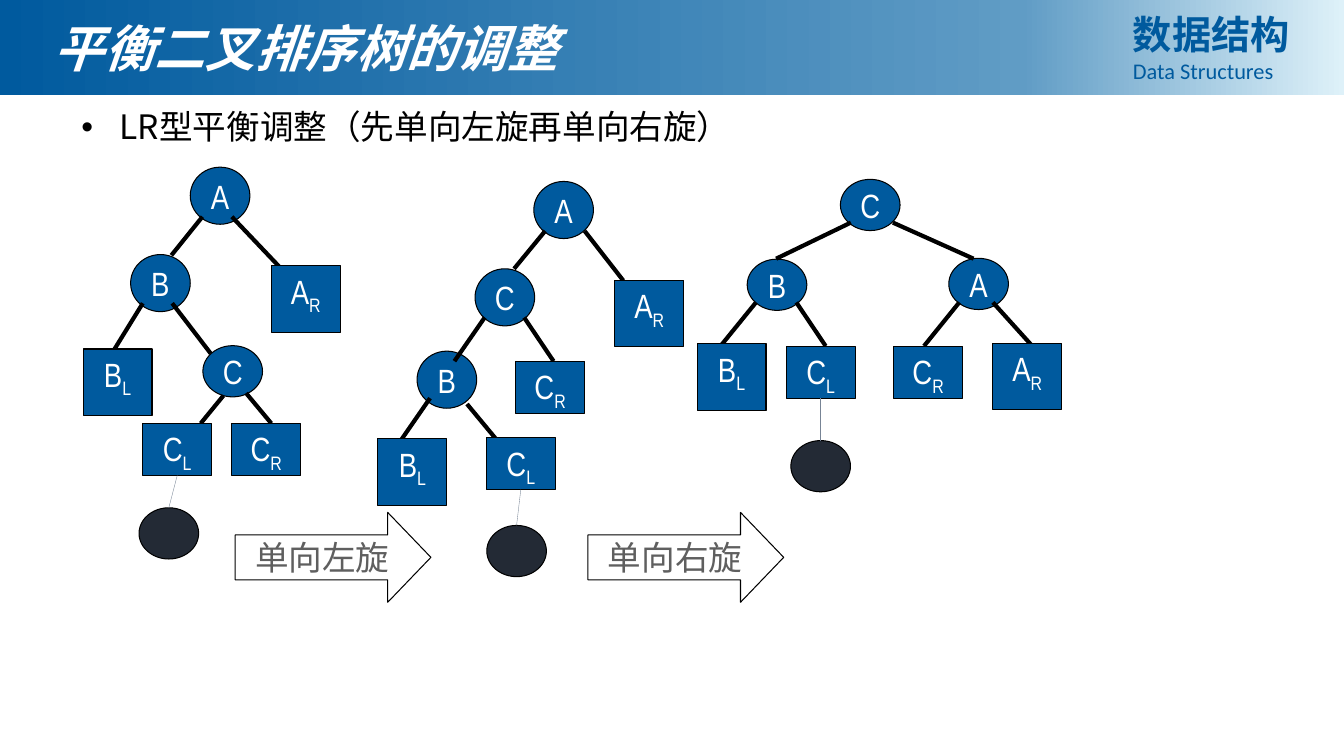
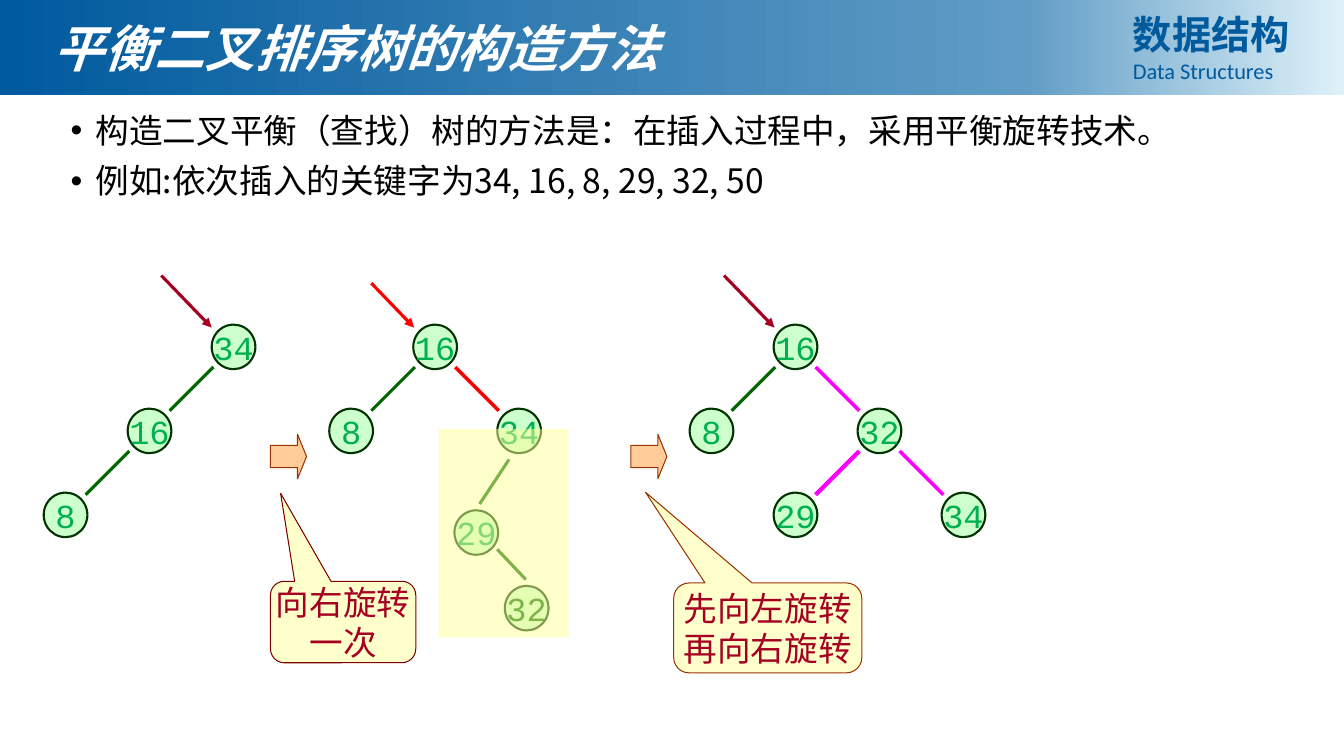
from copy import deepcopy
from dataclasses import dataclass

from lxml import etree
from pptx import Presentation
from pptx import util as u
from pptx.dml.color import RGBColor
from pptx.enum import shapes, text
from pptx.oxml.ns import qn


# Theme: colours, and type as (font, size, colour, bold, italic)
@dataclass(frozen=True)
class Theme:
    band: tuple = ((0, "005A9E"), (0.76, "609CC5"), (1, "DEF1F9"))
    blue: str = "005A9E"
    black: str = "000000"
    white: str = "FFFFFF"
    inserted: str = "232A35"
    stalk: str = "778495"
    mint: str = "CCFFCC"
    pine: str = "003300"
    green: str = "006600"
    red: str = "FF0000"
    crimson: str = "A50021"
    magenta: str = "FF00FF"
    peach: str = "FFCC99"
    brown: str = "993300"
    maroon: str = "800000"
    cream: str = "FFFFCC"
    veil: str = "FFFF99"
    cjk: str = "Noto Sans CJK SC"
    title: tuple = ("Times New Roman", 36, "FFFFFF", True, True)
    course: tuple = ("Noto Sans CJK SC", 28, "005A9E", True, False)
    course_en: tuple = ("Calibri", 16, "005A9E", False, False)
    body: tuple = ("Noto Sans CJK SC", 24, "000000", False, False)
    step: tuple = ("Noto Sans CJK SC", 24, "5F5F5F", False, False)
    node: tuple = ("Arial Narrow", 24, "FFFFFF", False, False)
    key: tuple = ("Courier New", 24, "00B050", False, False)
    last_key: tuple = ("Courier New", 24, "006600", False, False)
    note: tuple = ("Noto Sans CJK SC", 24, "A50021", False, False)


T = Theme()
SHAPE = shapes.MSO_SHAPE
STRAIGHT = shapes.MSO_CONNECTOR.STRAIGHT

# The slide is a grid of 160 columns by 90 rows of square cells
prs = Presentation()
prs.slide_width, prs.slide_height = u.Inches(40 / 3), u.Inches(7.5)
CELL = prs.slide_width // 160


def write(paragraph, words, look):
    """Write words in one look; the part after "_" is a subscript."""
    base, _, index = words.partition("_")
    paragraph.add_run().text = base
    if index:
        subscript = paragraph.add_run()
        subscript.text = index
        subscript._r.get_or_add_rPr().set("baseline", "-25000")
    font = paragraph.font
    font.name, size, colour, font.bold, font.italic = look
    font.size = u.Pt(size)
    font.color.rgb = RGBColor.from_string(colour)
    etree.SubElement(paragraph._p.pPr.find(qn("a:defRPr")), qn("a:ea"), typeface=T.cjk)


def draw(slide, kind, box, fill, line, width=0.75, words="", look=T.node, adjust=()):
    """Draw a preset shape on the grid, with one centred paragraph per line."""
    shape = slide.shapes.add_shape(kind, *[round(v * CELL) for v in box])
    shape.shadow.inherit = False
    for i, value in enumerate(adjust):
        shape.adjustments[i] = value
    shape.fill.solid()
    shape.fill.fore_color.rgb = RGBColor.from_string(fill)
    shape.line.color.rgb = RGBColor.from_string(line)
    shape.line.width = u.Pt(width)
    frame = shape.text_frame
    frame.word_wrap = False
    frame.vertical_anchor = text.MSO_ANCHOR.TOP if "_" in words else text.MSO_ANCHOR.MIDDLE
    for i, part in enumerate(words.split("\n") if words else []):
        paragraph = frame.add_paragraph() if i else frame.paragraphs[0]
        paragraph.alignment = text.PP_ALIGN.CENTER
        write(paragraph, part, look)
    return shape


# Titles and lists: title, body box, bullet indent, space before, items
layout = prs.slide_layouts[1]
pages = [
    ("平衡二叉排序树的调整", (8.5, 12.6, 108, 64), 0.38, 5,
     ["LR型平衡调整（先单向左旋再单向右旋）"]),
    ("平衡二叉排序树的构造方法", (7.2, 13, 144.4, 64), 0.25, 10,
     ["构造二叉平衡（查找）树的方法是：在插入过程中，采用平衡旋转技术。",
      "例如:依次插入的关键字为34, 16, 8, 29, 32, 50"]),
]
for heading, body_box, indent, gap, items in pages:
    slide = prs.slides.add_slide(layout)
    title, body = slide.placeholders
    for holder, box in ((title, (5.2, 1.4, 80.4, 8.5)), (body, body_box)):
        holder.left, holder.top, holder.width, holder.height = [round(v * CELL) for v in box]
        holder.text_frame.word_wrap = True
        holder.text_frame.auto_size = text.MSO_AUTO_SIZE.NONE
    title.text_frame.vertical_anchor = text.MSO_ANCHOR.MIDDLE
    title_line = title.text_frame.paragraphs[0]
    title_line.alignment = text.PP_ALIGN.LEFT
    write(title_line, heading, T.title)
    for i, item in enumerate(items):
        bullet = body.text_frame.add_paragraph() if i else body.text_frame.paragraphs[0]
        bullet.line_spacing = 0.9
        bullet.space_before = u.Pt(gap if i else 0)
        props = bullet._p.get_or_add_pPr()
        props.set("marL", str(u.Inches(indent)))
        props.set("indent", str(-u.Inches(indent)))
        etree.SubElement(props, qn("a:buFont"), typeface="Arial")
        etree.SubElement(props, qn("a:buChar"), char="•")
        write(bullet, item, T.body)
adjusting, building = prs.slides

# Shared band and course name, moved to the layout behind the placeholders
band = draw(adjusting, SHAPE.RECTANGLE, (0, 0, 160, 11.3), T.blue, T.blue)
band.line.fill.background()
band.fill.gradient()
band.fill.gradient_angle = 0
stop_list = band._element.spPr.find(qn("a:gradFill")).find(qn("a:gsLst"))
stop_list.append(deepcopy(stop_list[-1]))
for stop, (position, colour) in zip(band.fill.gradient_stops, T.band):
    stop.position = position
    stop.color.rgb = RGBColor.from_string(colour)
course = adjusting.shapes.add_textbox(*[round(v * CELL) for v in (133.7, 0.6, 22.9, 10.1)])
course.text_frame.word_wrap = True
write(course.text_frame.paragraphs[0], "数据结构", T.course)
write(course.text_frame.add_paragraph(), "Data Structures", T.course_en)
for i, part in enumerate((band, course)):
    layout.shapes._spTree.insert(2 + i, part._element)

# Slide 1: three trees; nodes as (label, centre column, centre row, size)
ROUND, FLAT = (7.1, 6.8), (7.1, 6.1)
TALL, SHORT = (8.2, 7.9), (8.2, 6.2)
trees = [
    {"inner": [("A", 26.2, 23.3, ROUND), ("B", 19.1, 33.7, ROUND), ("C", 27.7, 44.2, FLAT)],
     "edges": [(24.1, 25.8, 20.4, 30.4), (27.6, 25.8, 33.2, 31.7), (17, 36.1, 13.3, 42.1),
               (20.5, 36.1, 25.1, 42.1), (26.6, 47.1, 23.9, 50.4), (29.3, 46.8, 32.3, 50.4)],
     "subtrees": [("A_R", 36.4, 35.6, TALL), ("B_L", 14, 45.5, TALL),
                  ("C_R", 31.7, 53.5, SHORT), ("C_L", 21.1, 53.5, SHORT)],
     "inserted": (20.1, 63.5)},
    {"inner": [("A", 67.1, 25, ROUND), ("C", 60.1, 35.4, ROUND), ("B", 53.2, 45.2, ROUND)],
     "edges": [(64.9, 27.5, 61.2, 32), (69.6, 27.5, 74.2, 33.4), (57.7, 37.8, 54.1, 43),
               (62.4, 37.8, 65.9, 43), (51.2, 47.4, 47.6, 52.6), (55.6, 48.1, 59, 52.2)],
     "subtrees": [("A_R", 77.3, 37.3, TALL), ("B_L", 49.1, 56.2, TALL),
                  ("C_R", 65.5, 46.1, SHORT), ("C_L", 62, 55.2, SHORT)],
     "inserted": (61.5, 65.6)},
    {"inner": [("C", 103.6, 24.4, FLAT), ("B", 92.5, 33.9, FLAT), ("A", 116.5, 33.8, FLAT)],
     "edges": [(101.3, 26.5, 92.4, 30.8), (106.3, 26.5, 115.9, 30.8), (90, 36, 85.7, 41.3),
               (94.8, 36, 98.3, 41.2), (114.2, 36, 110, 41.2), (118.2, 36, 122.9, 41.2)],
     "subtrees": [("A_R", 122.3, 44.8, TALL), ("B_L", 87.1, 44.9, TALL),
                  ("C_R", 110.5, 44.3, SHORT), ("C_L", 97.7, 44.3, SHORT)],
     "inserted": (97.7, 55.5)},
]
for tree in trees:
    for label, x, y, (w, h) in tree["inner"]:
        draw(adjusting, SHAPE.OVAL, (x - w / 2, y - h / 2, w, h), T.blue, T.black, words=label)
    for ends in tree["edges"]:
        edge = adjusting.shapes.add_connector(STRAIGHT, *[round(v * CELL) for v in ends])
        edge.line.color.rgb = RGBColor.from_string(T.black)
        edge.line.width = u.Pt(3)
    for label, x, y, (w, h) in tree["subtrees"]:
        subtree = draw(adjusting, SHAPE.RECTANGLE, (x - w / 2, y - h / 2, w, h),
                       T.blue, T.black, words=label)
    # The new node hangs below the last subtree, C_L
    x, y = tree["inserted"]
    w, h = FLAT
    inserted = draw(adjusting, SHAPE.OVAL, (x - w / 2, y - h / 2, w, h), T.inserted, T.black)
    stalk = adjusting.shapes.add_connector(STRAIGHT, 0, 0, 0, 0)
    stalk.begin_connect(subtree, 2)
    stalk.end_connect(inserted, 0)
    stalk.line.color.rgb = RGBColor.from_string(T.stalk)
    stalk.line.width = u.Pt(0.25)

# Slide 1: rotation steps
for left, step in ((28, "单向左旋"), (70, "单向右旋")):
    draw(adjusting, SHAPE.RIGHT_ARROW, (left, 61, 23.3, 10.7), T.white, T.black,
         words=step, look=T.step, adjust=(0.5, 0.48))

# Slide 2: trees on a pitch of 10 cells; keys as (key, column, row) from the root,
# edges as (parent, child, colour, width)
PITCH, ROOT_ROW = 10, 41.3
KEY_W, KEY_H = 5.2, 5.3
key_trees = [
    (27.8, [("34", 0, 0), ("16", -1, 1), ("8", -2, 2)],
     [(0, 1, T.green, 2.25), (1, 2, T.green, 2.25)]),
    (51.8, [("16", 0, 0), ("8", -1, 1), ("34", 1, 1), ("29", 0.49, 2.21), ("32", 1.09, 3.11)],
     [(0, 1, T.green, 2.25), (0, 2, T.red, 2.5)]),
    (94.7, [("16", 0, 0), ("8", -1, 1), ("32", 1, 1), ("29", 0, 2), ("34", 2, 2)],
     [(0, 1, T.green, 2.25), (0, 2, T.magenta, 2.5), (2, 3, T.magenta, 3),
      (2, 4, T.magenta, 2.5)]),
]
# Lines off the pitch: two lower edges, then the pointers to the roots
key_lines = [
    ((60.6, 54.7, 57.1, 60), T.green, 2.25, False),
    ((59.2, 65.4, 62.6, 69), T.green, 2.25, False),
    ((19.2, 32.8, 25.2, 39), T.crimson, 2.25, True),
    ((44.2, 33.7, 49.3, 39), T.red, 2.25, True),
    ((86.2, 32.8, 92.2, 39), T.crimson, 2.25, True),
]
for root, keys, links in key_trees:
    centres = [(root + c * PITCH, ROOT_ROW + r * PITCH) for _, c, r in keys]
    for (key, _, r), (x, y) in zip(keys, centres):
        draw(building, SHAPE.OVAL, (x - KEY_W / 2, y - KEY_H / 2, KEY_W, KEY_H),
             T.mint, T.pine, 1.5, key, T.last_key if r > 3 else T.key)
    for parent, child, colour, width in links:
        (x1, y1), (x2, y2) = centres[parent], centres[child]
        ends = [a + (b - a) * share for share in (0.24, 0.76) for a, b in ((x1, x2), (y1, y2))]
        key_lines.append((ends, colour, width, False))
for ends, colour, width, pointer in key_lines:
    link = building.shapes.add_connector(STRAIGHT, *[round(v * CELL) for v in ends])
    link.line.color.rgb = RGBColor.from_string(colour)
    link.line.width = u.Pt(width)
    if pointer:
        etree.SubElement(link._element.spPr.find(qn("a:ln")), qn("a:tailEnd"), type="triangle")

# Slide 2: veil over the unbalanced part, step arrows and notes
veil = draw(building, SHAPE.RECTANGLE, (52.2, 51.1, 15.5, 24.8), T.veil, T.cream)
veil.line.fill.background()
veil_colour = veil._element.spPr.find(qn("a:solidFill")).find(qn("a:srgbClr"))
etree.SubElement(veil_colour, qn("a:alpha"), val="50000")
for left in (32.2, 75.1):
    draw(building, SHAPE.RIGHT_ARROW, (left, 51.7, 4.3, 5.3), T.peach, T.brown,
         adjust=(0.5, 0.25))
for box, outline, note, tip in (
    ((32.2, 69.2, 17.3, 9.7), T.maroon, "向右旋转\n一次", (-0.43, -1.58, 0.17)),
    ((80.2, 69.4, 22.4, 10.7), T.brown, "先向左旋转\n再向右旋转", (-0.65, -1.51, 0.17)),
):
    draw(building, SHAPE.ROUNDED_RECTANGULAR_CALLOUT, box, T.cream, outline,
         words=note, look=T.note, adjust=tip)

# Connectors carry no shadow
for slide in prs.slides:
    for line in slide.shapes._spTree.findall(qn("p:cxnSp")):
        etree.SubElement(line.spPr, qn("a:effectLst"))

prs.save("out.pptx")
